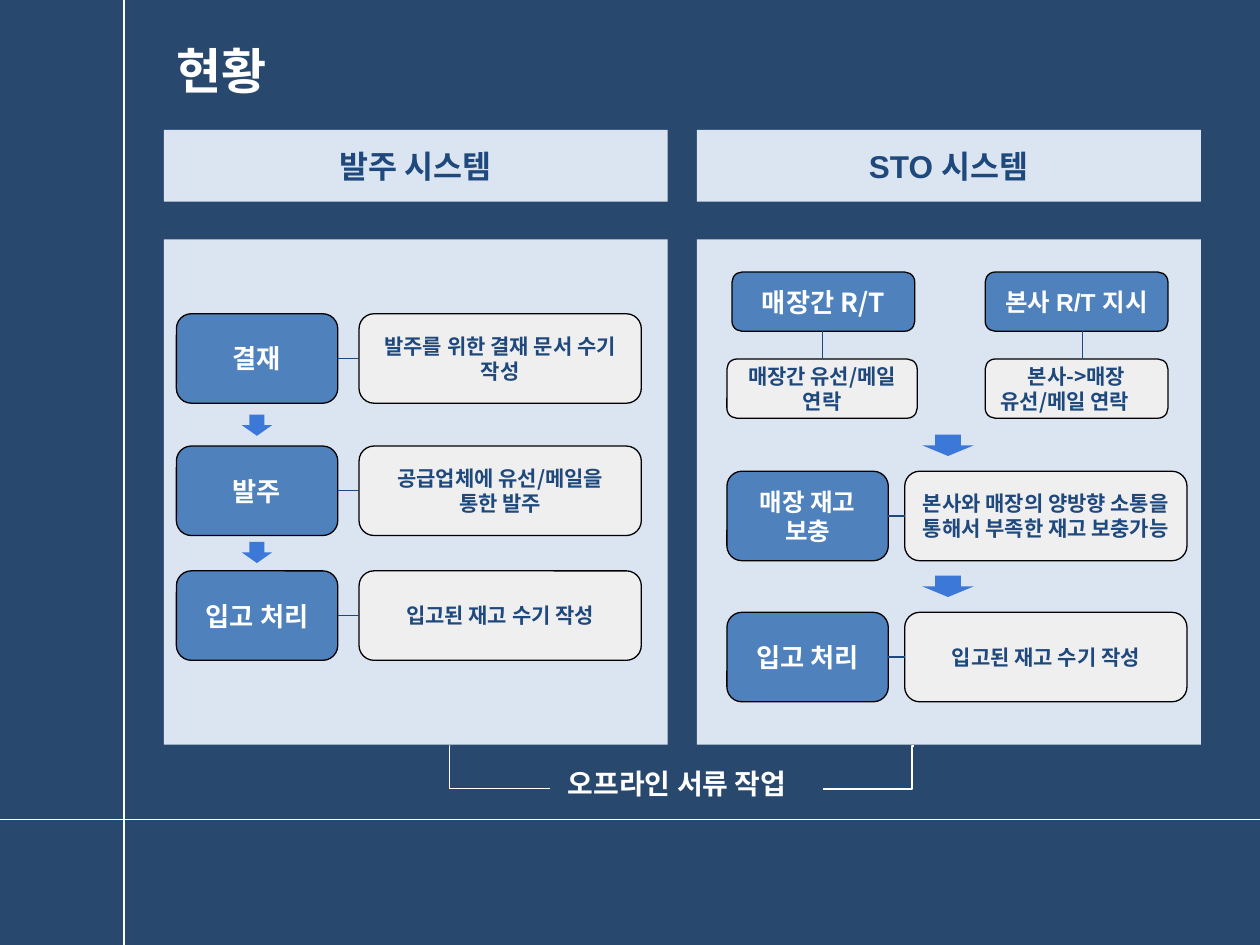
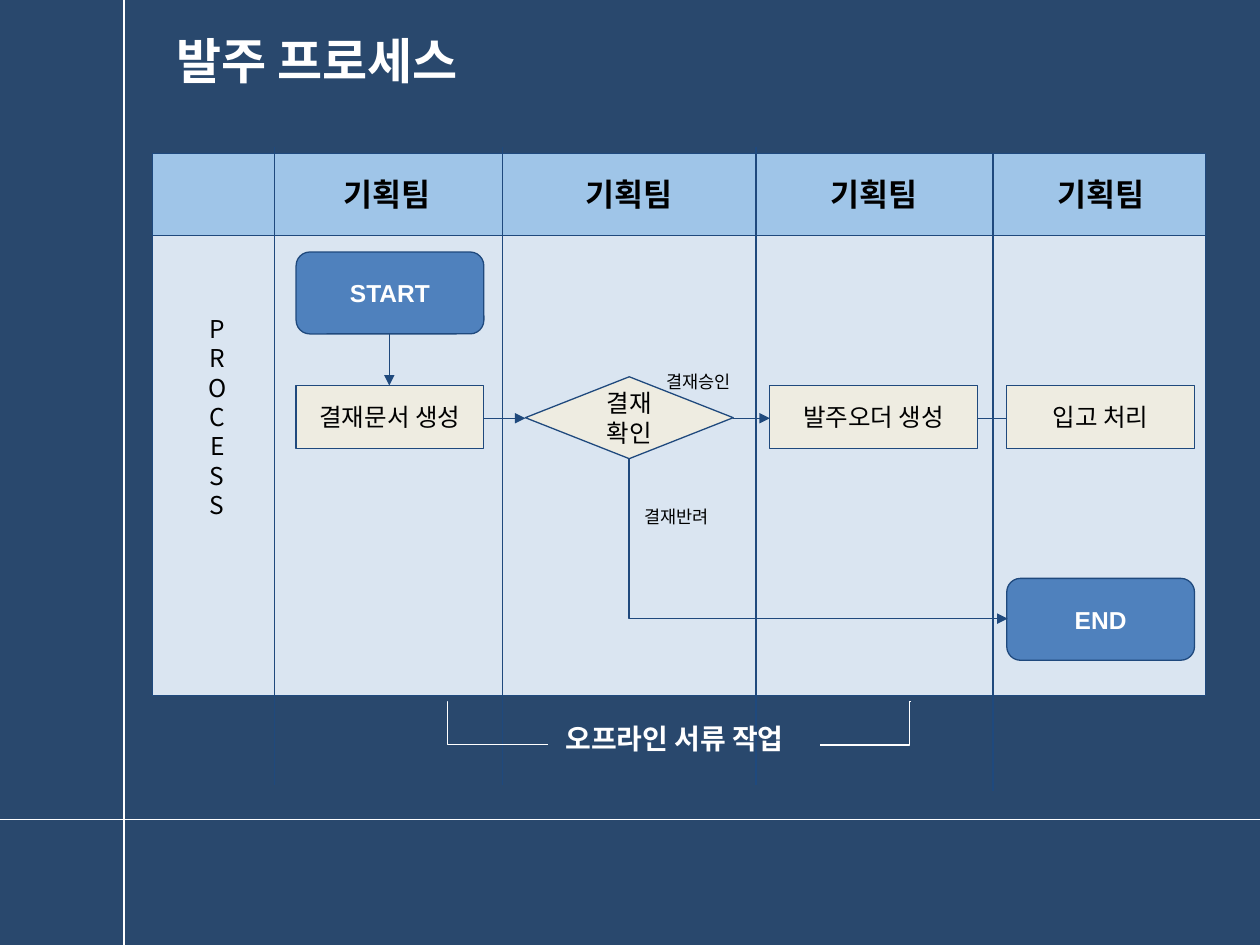
from dataclasses import dataclass
from lxml import etree
from pptx import Presentation
from pptx import util as u
from pptx.dml.color import RGBColor
from pptx.enum import shapes, text
from pptx.oxml.ns import qn

Pt = u.Pt
G = shapes.MSO_SHAPE
C = shapes.MSO_CONNECTOR
CENTER, LEFT = text.PP_ALIGN.CENTER, text.PP_ALIGN.LEFT


@dataclass(frozen=True)
class Theme:
    back: str = "29486D"
    white: str = "FFFFFF"
    black: str = "000000"
    navy: str = "1F497D"
    panel: str = "DAE5F1"
    header: str = "9FC5E8"
    blue: str = "4F81BD"
    grey: str = "EFEFEF"
    cream: str = "EEECE1"
    arrow: str = "3C78D8"
    font: str = "Noto Sans CJK KR"
    latin: str = "Arial"
    title: int = 28
    head: int = 18
    foot: int = 16
    step: int = 15
    body: int = 14
    detail: int = 12
    note: int = 10
    line: float = 0.75


class Deck:
    def __init__(self, theme):
        self.t = theme
        self.prs = Presentation()
        self.prs.slide_width, self.prs.slide_height = Pt(720), Pt(540)

    def slide(self, title, top):
        t = self.t
        self.s = self.prs.slides.add_slide(self.prs.slide_layouts[6])
        fill = self.s.background.fill
        fill.solid()
        fill.fore_color.rgb = RGBColor.from_string(t.back)
        self.line(0, 468.5, 720, 468.5, t.white)
        self.line(70.8, 0, 70.8, 540, t.white)
        self.label(title, 93.6, top, 360.7, 74.9, t.title, t.white, True, LEFT, pad=3.6)

    def put_text(self, sp, paras, size, color, bold=False, font=None, pad=7.2,
                 anchor=text.MSO_ANCHOR.MIDDLE, aligns=(CENTER,)):
        tf = sp.text_frame
        tf.word_wrap = True
        tf.vertical_anchor = anchor
        tf.margin_left = tf.margin_right = Pt(7.2)
        tf.margin_top = tf.margin_bottom = Pt(pad)
        for i, words in enumerate(paras):
            p = tf.add_paragraph() if i else tf.paragraphs[0]
            p.alignment = aligns[min(i, len(aligns) - 1)]
            r = p.add_run()
            r.text = words
            f = r.font
            f.name, f.size, f.bold = font or self.t.font, Pt(size), bold
            f.color.rgb = RGBColor.from_string(color)
            ea = etree.SubElement(r._r.get_or_add_rPr(), qn("a:ea"))
            ea.set("typeface", self.t.font)

    def label(self, words, x, y, w, h, size, color, bold=False, align=CENTER, pad=7.2):
        paras = [words] if isinstance(words, str) else words
        sp = self.s.shapes.add_textbox(Pt(x), Pt(y), Pt(w), Pt(h))
        self.put_text(sp, paras, size, color, bold, pad=pad,
                      anchor=text.MSO_ANCHOR.TOP, aligns=(align,))

    def shape(self, kind, x, y, w, h, fill, line=None):
        sp = self.s.shapes.add_shape(kind, Pt(x), Pt(y), Pt(w), Pt(h))
        sp.shadow.inherit = False
        sp.fill.solid()
        sp.fill.fore_color.rgb = RGBColor.from_string(fill)
        if line:
            sp.line.color.rgb = RGBColor.from_string(line)
            sp.line.width = Pt(self.t.line)
        else:
            sp.line.fill.background()
        return sp

    def line(self, x1, y1, x2, y2, color, arrow=False, kind=C.STRAIGHT):
        c = self.s.shapes.add_connector(kind, Pt(x1), Pt(y1), Pt(x2), Pt(y2))
        c.line.color.rgb = RGBColor.from_string(color)
        c.line.width = Pt(self.t.line)
        if arrow:
            ln = c._element.spPr.find(qn("a:ln"))
            etree.SubElement(ln, qn("a:tailEnd")).set("type", "triangle")
        etree.SubElement(c._element.spPr, qn("a:effectLst"))
        return c

    def elbow(self, x1, y1, x2, y2, color, preset, bend=None):
        c = self.line(x1, y1, x2, y2, color, kind=C.ELBOW)
        geom = c._element.spPr.find(qn("a:prstGeom"))
        geom.set("prst", preset)
        if bend:
            av = geom.find(qn("a:avLst"))
            if av is None:
                av = etree.SubElement(geom, qn("a:avLst"))
            gd = etree.SubElement(av, qn("a:gd"))
            gd.set("name", "adj1")
            gd.set("fmla", f"val {bend}")

    def step(self, words, x, y, w=92.2, h=51.1, size=None, font=None):
        t = self.t
        sp = self.shape(G.ROUNDED_RECTANGLE, x, y, w, h, t.blue, t.black)
        self.put_text(sp, [words], size or t.step, t.white, True, font, 3.6)

    def detail(self, paras, x, y, w=161.3, h=51.1):
        t = self.t
        sp = self.shape(G.ROUNDED_RECTANGLE, x, y, w, h, t.grey, t.black)
        self.put_text(sp, paras, t.detail, t.navy, True, pad=3.6, aligns=(CENTER, LEFT))

    def column(self, words, x):
        t = self.t
        self.shape(G.RECTANGLE, x, 136.8, 288, 288.7, t.panel)
        sp = self.shape(G.RECTANGLE, x, 74.2, 288, 41, t.panel)
        self.put_text(sp, [words], t.head, t.navy, True, t.latin, 3.6)

    def down(self, x, y, w):
        self.shape(G.DOWN_ARROW, x, y, w, 12.2, self.t.arrow)

    def flow(self, kind, words, x, y, w, h, terminal=False):
        t = self.t
        sp = self.shape(kind, x, y, w, h, t.blue if terminal else t.cream, t.navy)
        self.put_text(sp, [words], t.body, t.white if terminal else t.black, terminal, t.latin)

    def offline_note(self, x, y):
        t = self.t
        self.label("오프라인 서류 작업", x, y, 161.3, 33.8, t.foot, t.white, True, LEFT)
        self.elbow(x - 2.9, y + 20.1, x - 60.5, y - 4.3, t.white, "bentConnector3", 99900)
        self.elbow(x + 152.7, y + 20.3, x + 204.5, y - 4.3, t.white, "bentConnector3", 98500)


def status(d):
    t = d.t
    d.slide("현황", 19.4)
    d.column("발주 시스템", 93.6)
    d.column("STO 시스템", 398.2)

    rows = [
        (100.8, 205.2, 179.3, "결재", "발주를 위한 결재 문서 수기 작성", {}),
        (100.8, 205.2, 254.9, "발주", "공급업체에 유선/메일을 통한 발주", {}),
        (100.8, 205.2, 326.2, "입고 처리", "입고된 재고 수기 작성", {}),
        (415.4, 517, 269.3, "매장 재고 보충",
         "본사와 매장의 양방향 소통을 통해서 부족한 재고 보충가능",
         dict(size=t.body, font=t.latin)),
        (415.4, 517, 349.9, "입고 처리", "입고된 재고 수기 작성", {}),
    ]
    for x, dx, y, name, note, style in rows:
        d.step(name, x, y, **style)
        d.detail([note], dx, y)
        d.line(x + 92.2, y + 25.6, dx, y + 25.6, t.navy)

    d.step("매장간 R/T", 418.3, 155.5, 104.4, 33.8)
    d.detail(["매장간 유선/메일 연락"], 415.4, 205.2, 108.7, 33.8)
    d.step("본사 R/T 지시", 563, 155.5, 104.4, 33.8, t.body, t.latin)
    d.detail(["본사->매장", "유선/메일 연락"], 563, 205.2, 104.4, 33.8)
    for x in (470.2, 618.5):
        d.line(x, 189.3, x, 205.2, t.navy)

    for x, y, w in ((138.2, 236.9, 17.3), (138.2, 309.6, 17.3),
                    (527, 248.4, 29.5), (527, 329, 29.5)):
        d.down(x, y, w)
    d.offline_note(317.5, 430.6)


def process(d):
    t = d.t
    d.slide("발주 프로세스", 13.7)
    d.shape(G.RECTANGLE, 87.1, 92.9, 601.9, 304.6, t.panel, t.navy)
    d.shape(G.RECTANGLE, 87.1, 87.8, 601.9, 46.8, t.header, t.navy)
    for x, y in ((157, 84.2), (287.3, 84.2), (432, 84.2), (567.4, 87.8)):
        d.line(x, y, x, y + 364.3, t.navy)
    for x in (186.5, 324.7, 464.4, 594):
        d.label("기획팀", x, 92.9, 69.8, 36, t.head, t.black, True)
    d.label(list("PROCESS"), 102.2, 172.1, 43.9, 133.2, t.body, t.black)

    d.flow(G.ROUNDED_RECTANGLE, "START", 169.2, 144, 107.3, 46.8, True)
    d.flow(G.RECTANGLE, "결재문서 생성", 169.2, 220.3, 107.3, 36)
    d.flow(G.DIAMOND, "결재 확인", 300.2, 215.3, 118.8, 46.8)
    d.flow(G.RECTANGLE, "발주오더 생성", 439.9, 220.3, 118.8, 36)
    d.flow(G.RECTANGLE, "입고 처리", 575.3, 220.3, 107.3, 36)
    d.flow(G.ROUNDED_RECTANGLE, "END", 575.3, 330.5, 107.3, 46.8, True)

    d.line(222.5, 190.8, 222.5, 220.3, t.navy, True)
    for x1, x2, arrow in ((276.1, 300.2, True), (419, 439.9, True), (558.7, 575.3, False)):
        d.line(x1, 239, x2, 239, t.navy, arrow)
    d.elbow(575.3, 353.5, 359.4, 262.1, t.navy, "bentConnector2")
    d.line(359.4, 353.5, 575.8, 353.5, t.navy, True)
    d.label("결재승인", 373.7, 205.9, 69.8, 26.6, t.note, t.black, align=LEFT)
    d.label("결재반려", 361.4, 283, 69.8, 26.6, t.note, t.black, align=LEFT)
    d.offline_note(316.1, 405.4)


deck = Deck(Theme())
status(deck)
process(deck)
deck.prs.save("out.pptx")
